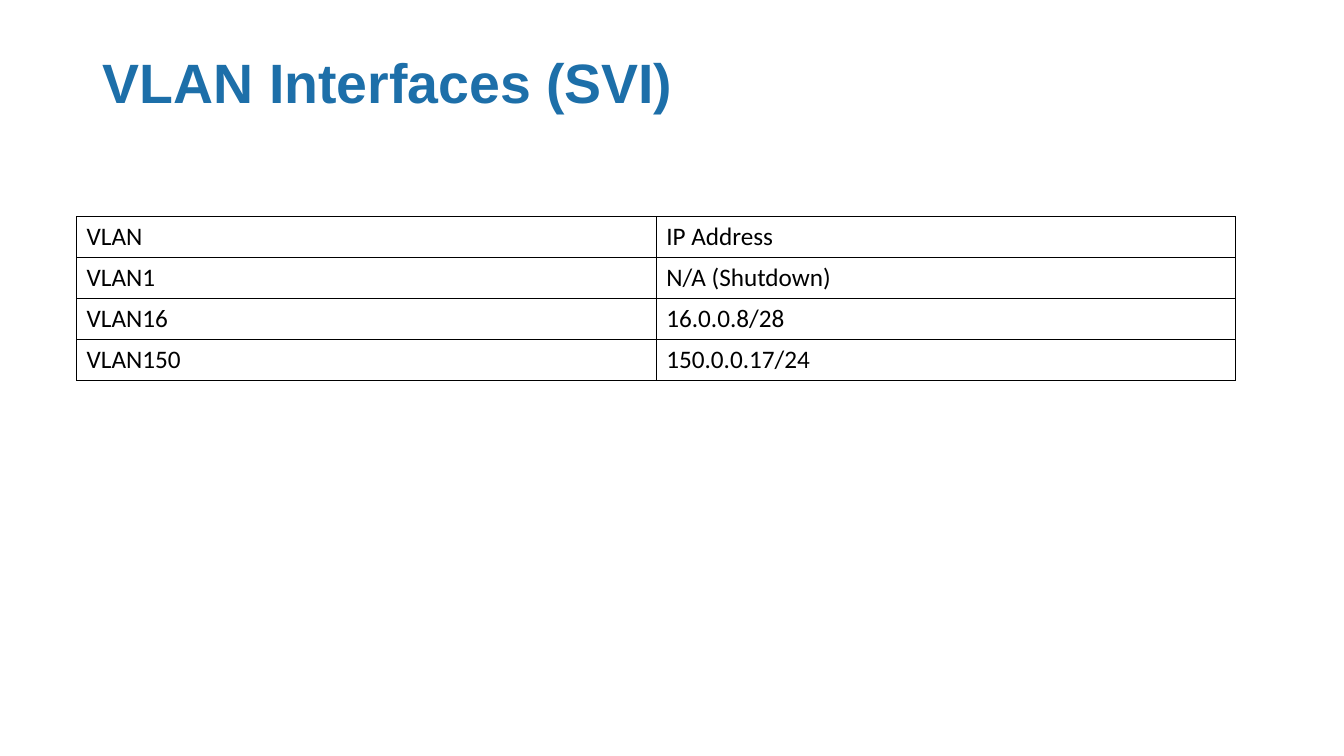
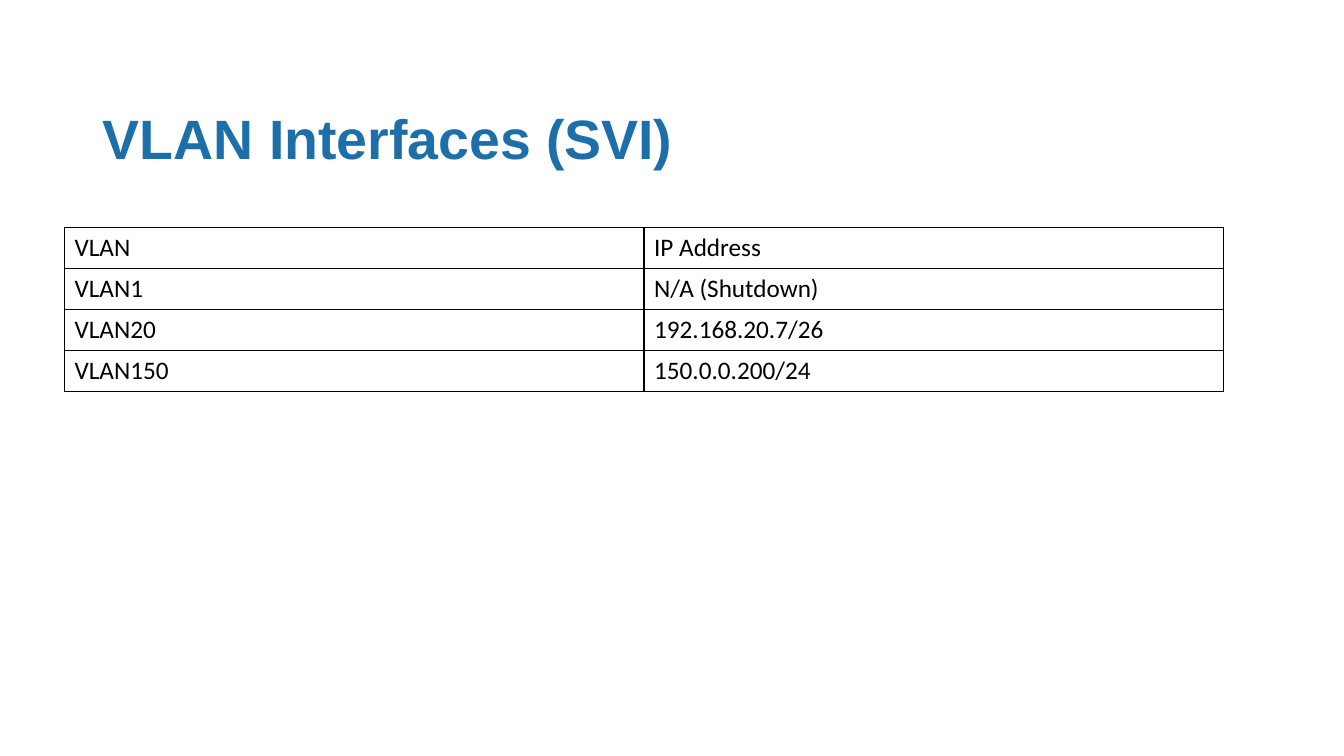
from dataclasses import dataclass

from lxml.etree import SubElement
from pptx import Presentation
from pptx.dml.color import RGBColor
from pptx.enum.text import MSO_ANCHOR, MSO_AUTO_SIZE, PP_ALIGN
from pptx.oxml.ns import qn
from pptx.presentation import Presentation as Deck
from pptx.slide import Slide
from pptx.table import _Cell as Cell
from pptx.text.text import TextFrame
from pptx.util import Inches, Pt

SLIDE_WIDTH, SLIDE_HEIGHT = Inches(13.33), Inches(7.5)
GRID_COLUMNS, GRID_ROWS = 120, 75
TITLE_ONLY_LAYOUT = 5

COLORS = {"title": "1D6FA9", "text": "000000", "border": "000000"}
TITLE_LEFT, TITLE_HEIGHT = 8.28, 14.5
CONTENT_WIDTH = 103.5
TABLE_ROW_HEIGHT = 4
BORDER_WIDTH = Pt(1)


@dataclass(frozen=True)
class VlanPage:
    """Positions are in grid columns and rows."""
    title_top: float
    table_left: float
    table_top: float
    interfaces: tuple[tuple[str, str], ...]


TITLE = "VLAN Interfaces (SVI)"
HEADER = ("VLAN", "IP Address")
UNUSED_INTERFACE = ("VLAN1", "N/A (Shutdown)")
PAGES = (
    VlanPage(0.8, 6.84, 21.5, (("VLAN16", "16.0.0.8/28"), ("VLAN150", "150.0.0.17/24"))),
    VlanPage(6.4, 5.76, 22.6, (("VLAN20", "192.168.20.7/26"), ("VLAN150", "150.0.0.200/24"))),
)


def across(columns: float) -> int:
    return round(SLIDE_WIDTH * columns / GRID_COLUMNS)


def down(rows: float) -> int:
    return round(SLIDE_HEIGHT * rows / GRID_ROWS)


def write(frame: TextFrame, text: str, *, font: str, size: float, color: str,
          bold: bool = False) -> None:
    para = frame.paragraphs[0]
    para.alignment = PP_ALIGN.LEFT
    span = para.add_run()
    span.text = text
    span.font.name = font
    span.font.size = Pt(size)
    span.font.bold = bold
    span.font.color.rgb = RGBColor.from_string(COLORS[color])


def add_borders(cell: Cell) -> None:
    properties = cell._tc.get_or_add_tcPr()
    for side in ("lnL", "lnR", "lnT", "lnB"):
        line = SubElement(properties, qn(f"a:{side}"), w=str(BORDER_WIDTH))
        fill = SubElement(line, qn("a:solidFill"))
        SubElement(fill, qn("a:srgbClr"), val=COLORS["border"])


def place_title(page: Slide, top: float) -> None:
    box = page.shapes.title
    box.left, box.top = across(TITLE_LEFT), down(top)
    box.width, box.height = across(CONTENT_WIDTH), down(TITLE_HEIGHT)
    frame = box.text_frame
    frame.auto_size = MSO_AUTO_SIZE.NONE
    frame.vertical_anchor = MSO_ANCHOR.MIDDLE
    write(frame, TITLE, font="Arial", size=39.6, color="title", bold=True)


def add_interface_table(page: Slide, content: VlanPage) -> None:
    rows = (HEADER, UNUSED_INTERFACE, *content.interfaces)
    table = page.shapes.add_table(
        len(rows), len(HEADER), across(content.table_left), down(content.table_top),
        across(CONTENT_WIDTH), down(TABLE_ROW_HEIGHT * len(rows))).table
    table.first_row = table.horz_banding = False
    for row, values in enumerate(rows):
        for column, value in enumerate(values):
            cell = table.cell(row, column)
            cell.vertical_anchor = MSO_ANCHOR.MIDDLE
            add_borders(cell)
            cell.fill.background()
            write(cell.text_frame, value, font="Calibri", size=18, color="text")


def add_page(deck: Deck, content: VlanPage) -> None:
    page = deck.slides.add_slide(deck.slide_layouts[TITLE_ONLY_LAYOUT])
    place_title(page, content.title_top)
    add_interface_table(page, content)


def main() -> None:
    deck = Presentation()
    deck.slide_width, deck.slide_height = SLIDE_WIDTH, SLIDE_HEIGHT
    for content in PAGES:
        add_page(deck, content)
    deck.save("out.pptx")


if __name__ == "__main__":
    main()
